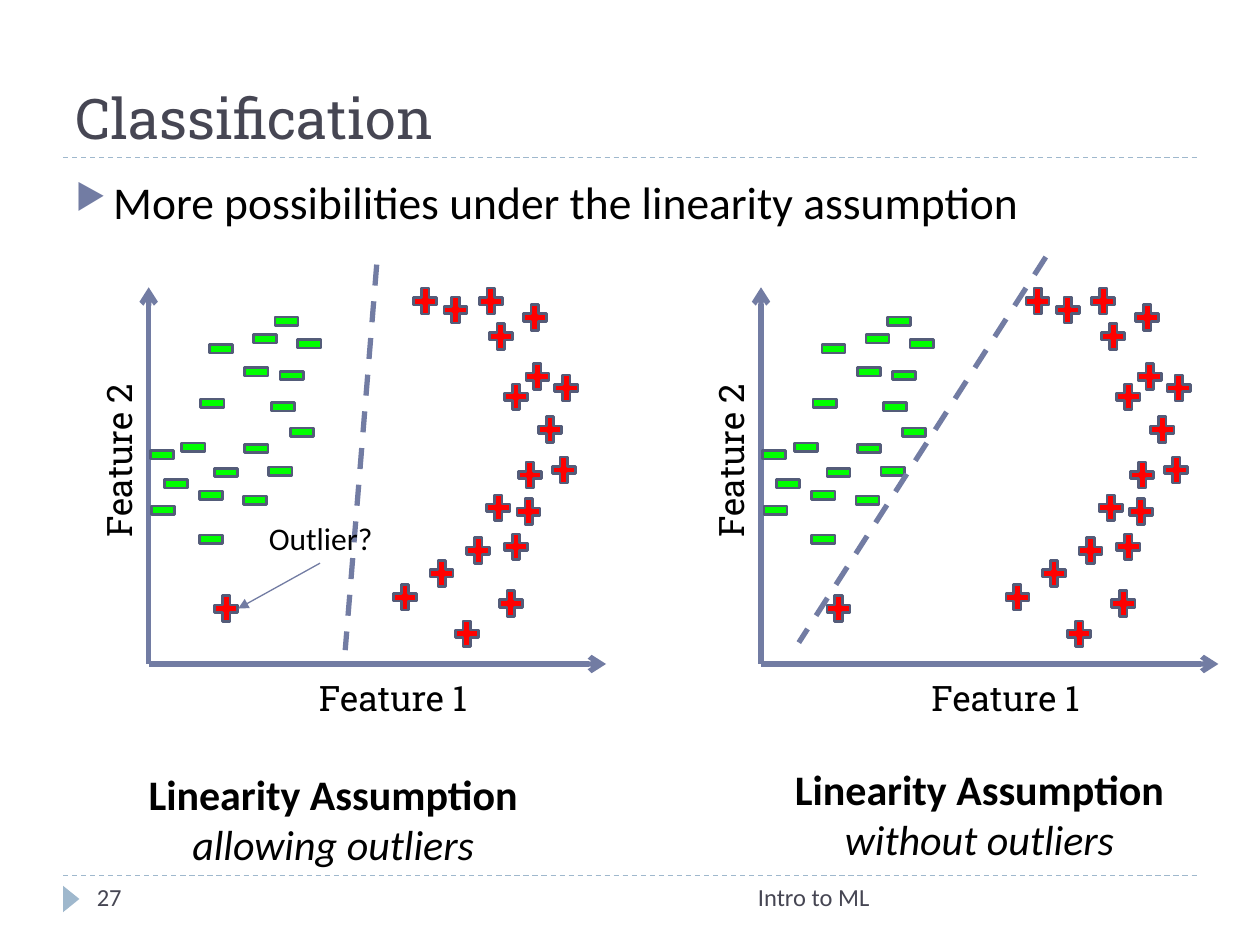
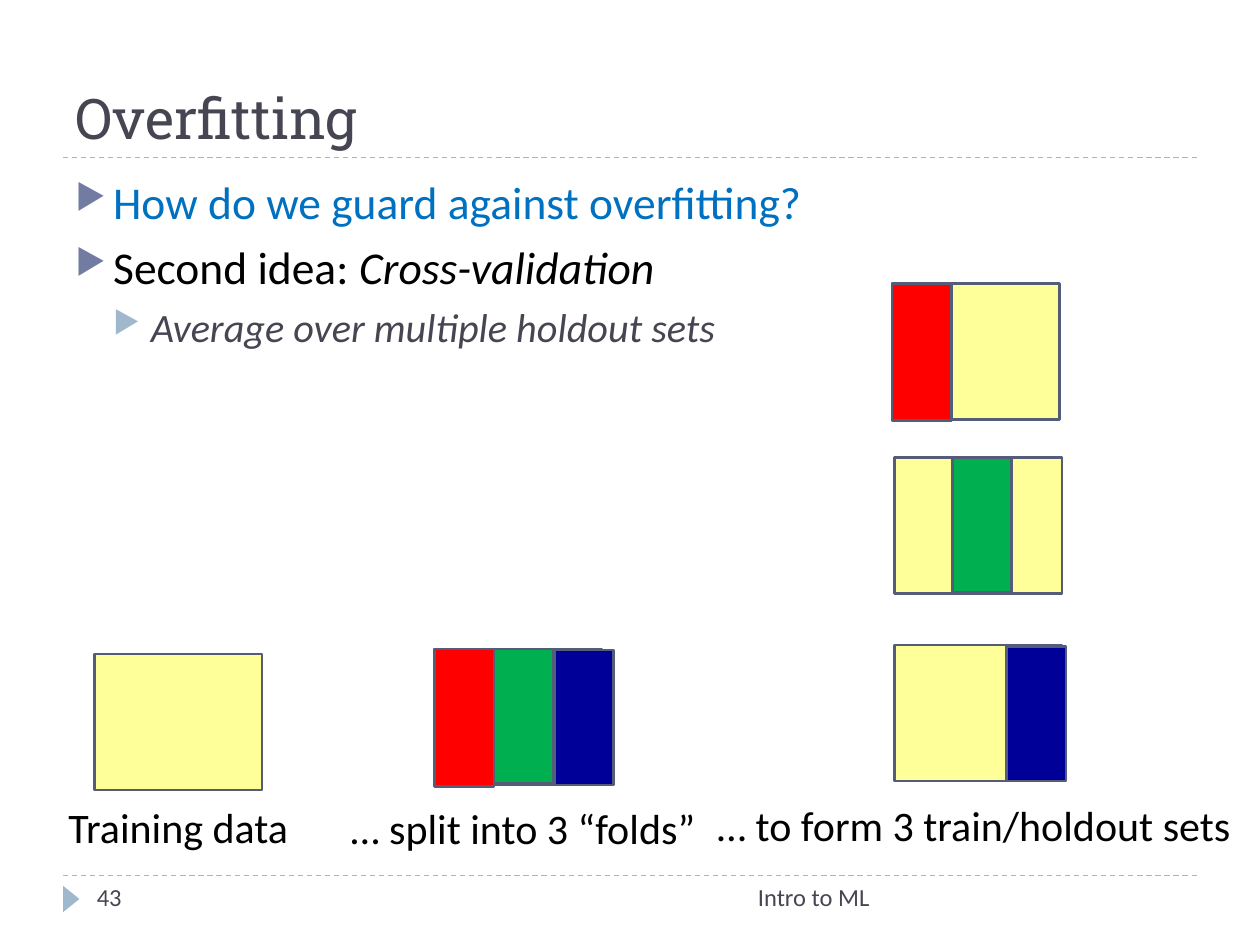
import pptx
import pptx.util
import pptx.dml.color
import pptx.enum.dml
import pptx.enum.shapes
import pptx.enum.text
import pptx.oxml
import pptx.oxml.ns
import lxml.etree

EMU_PER_PX = 9144
SHAPE = pptx.enum.shapes.MSO_SHAPE
FIT = pptx.enum.text.MSO_AUTO_SIZE
ALIGN = pptx.enum.text.PP_ALIGN
ANCHOR = pptx.enum.text.MSO_ANCHOR

INK, BLACK, ASK = "464653", "000000", "0070C0"
ACCENT, PALE, OUTLINE = "727CA3", "9FB8CD", "545C79"
RED, GREEN, NAVY, LIME, YELLOW = "FF0000", "00B050", "000099", "00FF00", "FFFF00"
YELLOW_OPACITY = 40

TITLE = dict(name="Roboto Slab", size=32, color=INK)
AXIS = dict(name="Roboto Slab", size=20, color=BLACK)
FOOTER = dict(name="Calibri", size=14, color=INK)
BODY = dict(name="Calibri", size=26, color=BLACK)
SUBPOINT = dict(name="Calibri", size=23, color=INK, italic=True)
CAPTION = dict(name="Calibri", size=24, color=BLACK)
NOTE = dict(name="Calibri", size=18, color=BLACK)

LEVELS = [
    dict(margin=30, before=6, color=ACCENT),
    dict(margin=60, before=5, color=PALE),
]
BULLET_INDENT = 30
FOOTER_TEXT = "Intro to ML"
RULES = [695, 125]

CLASSIFICATION = dict(
    title="Classification", number="27",
    points=[(0, [("More possibilities under the linearity assumption", BODY)])],
)
PANELS = [
    dict(shift=0, divider=(299, 210, 274, 516),
         caption=(83, 605, 363, 91), detail="allowing outliers"),
    dict(shift=486, divider=(830, 204, 634, 510),
         caption=(596, 601, 363, 91), detail="without outliers"),
]
ORIGIN, AXIS_ENDS = (118, 527), [(481, 527), (118, 228)]
AXIS_LABELS = [("Feature 1", (143, 532, 338, 37), 0), ("Feature 2", (-103, 350, 383, 32), 270)]
MARK_SIZE = (25, 28)
MARKS = [
    (SHAPE.MATH_PLUS, RED, [
        (437, 294), (412, 238), (358, 489), (397, 420), (167, 469), (435, 359), (393, 465),
        (383, 389), (408, 363), (397, 301), (309, 460), (338, 441), (367, 423), (407, 392),
        (424, 327), (414, 285), (325, 225), (377, 225), (385, 253), (349, 232)]),
    (SHAPE.MATH_MINUS, LIME, [
        (191, 342), (212, 309), (210, 360), (227, 329), (198, 255), (155, 414), (156, 306),
        (141, 341), (191, 281), (215, 241), (163, 263), (233, 259), (219, 284), (190, 383),
        (116, 347), (155, 379), (167, 361), (117, 391), (127, 370)]),
]
OUTLIER_LABEL, OUTLIER_ARROW = (195, 407, 119, 40), (254, 447, 189, 483)

OVERFITTING = dict(
    title="Overfitting", number="43",
    points=[
        (0, [("How do we guard against overfitting?", dict(BODY, color=ASK))]),
        (0, [("Second idea: ", BODY), ("Cross-validation", dict(BODY, italic=True))]),
        (1, [("Average over multiple holdout sets", SUBPOINT)]),
    ],
)
DATA_SIZE, FOLD_WIDTH = (133, 108), 47
FOLDS = {RED: (0, 109), GREEN: (0, 107), NAVY: (1, 107)}
DATA_BLOCKS = [
    (75, 519, YELLOW, []),
    (345, 515, None, [(RED, 0), (GREEN, 47), (NAVY, 95)]),
    (708, 225, YELLOW, [(RED, 0)]),
    (710, 363, YELLOW, [(GREEN, 46)]),
    (710, 512, YELLOW, [(NAVY, 89)]),
]
BLOCK_CAPTIONS = [
    ("Training data", (33, 631, 217, 50)),
    ("… split into 3 “folds”", (259, 632, 312, 50)),
    ("… to form 3 train/holdout sets", (546, 630, 454, 50)),
]


def px(*values):
    return [value * EMU_PER_PX for value in values]


def rgb(value):
    return pptx.dml.color.RGBColor.from_string(value)


def set_all(target, values):
    for key, value in values.items():
        setattr(target, key, value)


def child(parent, tag, **attributes):
    element = lxml.etree.SubElement(parent, pptx.oxml.ns.qn(tag))
    for key, value in attributes.items():
        element.set(key, str(value))
    return element


def write(para, pieces):
    for text, style in pieces:
        span = para.add_run()
        span.text = text.rstrip("\n")
        font = dict(style)
        span.font.color.rgb = rgb(font.pop("color"))
        font["size"] = pptx.util.Pt(font["size"])
        set_all(span.font, font)
        if text.endswith("\n"):
            para.add_line_break()


def add_text(page, at, pieces, align=ALIGN.CENTER, fit=FIT.SHAPE_TO_FIT_TEXT, turn=0):
    box = page.shapes.add_textbox(*px(*at))
    box.rotation = turn
    set_all(box.text_frame, dict(word_wrap=True, auto_size=fit))
    para = box.text_frame.paragraphs[0]
    para.alignment = align
    write(para, pieces)
    return box


def add_line(page, ends, color, width, dash=False, head=None):
    line = page.shapes.add_connector(pptx.enum.shapes.MSO_CONNECTOR.STRAIGHT, *px(*ends))
    line.line.color.rgb = rgb(color)
    line.line.width = pptx.util.Pt(width)
    if dash:
        line.line.dash_style = pptx.enum.dml.MSO_LINE.DASH
    if head:
        child(line.line._get_or_add_ln(), "a:tailEnd", type=head)
    child(line._element.spPr, "a:effectLst")


def add_shape(page, kind, at, fill, outline=OUTLINE, opacity=None):
    shape = page.shapes.add_shape(kind, *px(*at))
    shape.shadow.inherit = False
    if fill:
        shape.fill.solid()
        shape.fill.fore_color.rgb = rgb(fill)
    else:
        shape.fill.background()
    if opacity:
        color = shape._element.spPr.find(".//" + pptx.oxml.ns.qn("a:srgbClr"))
        child(color, "a:alpha", val=opacity * 1000)
    if outline:
        shape.line.color.rgb = rgb(outline)
        shape.line.width = pptx.util.Pt(1.5)
    else:
        shape.line.fill.background()
    return shape


def add_points(page, points):
    box = add_text(page, (50, 133, 900, 540), [], ALIGN.LEFT, FIT.NONE)
    for index, (level, pieces) in enumerate(points):
        para = box.text_frame.add_paragraph() if index else box.text_frame.paragraphs[0]
        look = LEVELS[level]
        set_all(para, dict(level=level, space_before=pptx.util.Pt(look["before"])))
        properties = para._p.get_or_add_pPr()
        properties.set("marL", str(px(look["margin"])[0]))
        properties.set("indent", str(px(-BULLET_INDENT)[0]))
        child(child(properties, "a:buClr"), "a:srgbClr", val=look["color"])
        child(properties, "a:buSzPct", val=76000)
        child(properties, "a:buChar", char="▶")
        write(para, pieces)


def add_page(deck, content):
    page = deck.slides.add_slide(deck.slide_layouts[5])
    for y in RULES:
        add_line(page, (50, y, 950, y), PALE, 0.75, dash=True)
    add_shape(page, SHAPE.ISOSCELES_TRIANGLE, (46, 707, 21, 13), PALE, None).rotation = 90
    title = page.shapes.title
    set_all(title, dict(zip(("left", "top", "width", "height"), px(50, 17, 900, 108))))
    set_all(title.text_frame, dict(vertical_anchor=ANCHOR.BOTTOM, auto_size=FIT.NONE, word_wrap=True))
    para = title.text_frame.paragraphs[0]
    para.alignment = ALIGN.LEFT
    write(para, [(content["title"], TITLE)])
    add_text(page, (317, 695, 383, 40), [(FOOTER_TEXT, FOOTER)], ALIGN.RIGHT, FIT.NONE)
    add_text(page, (67, 695, 217, 40), [(content["number"], FOOTER)], ALIGN.LEFT, FIT.NONE)
    add_points(page, content["points"])
    return page


def add_panel(page, panel):
    shift = panel["shift"]
    x, y = ORIGIN
    for end_x, end_y in AXIS_ENDS:
        add_line(page, (x + shift, y, end_x + shift, end_y), ACCENT, 3, head="arrow")
    for text, (left, *rest), turn in AXIS_LABELS:
        add_text(page, (left + shift, *rest), [(text, AXIS)], turn=turn)
    for kind, fill, spots in MARKS:
        for left, top in spots:
            add_shape(page, kind, (left + shift, top, *MARK_SIZE), fill)
    add_line(page, panel["divider"], ACCENT, 3, dash=True)
    add_text(page, panel["caption"], [
        ("Linearity Assumption\n", dict(CAPTION, bold=True)),
        (panel["detail"], dict(CAPTION, italic=True))])


def add_data_block(page, left, top, fill, folds):
    opacity = YELLOW_OPACITY if fill else None
    add_shape(page, SHAPE.RECTANGLE, (left, top, *DATA_SIZE), fill, opacity=opacity)
    for color, offset in folds:
        drop, height = FOLDS[color]
        add_shape(page, SHAPE.RECTANGLE, (left + offset, top + drop, FOLD_WIDTH, height), color)


def main():
    deck = pptx.Presentation()
    deck.slide_width, deck.slide_height = px(1000, 750)

    page = add_page(deck, CLASSIFICATION)
    for panel in PANELS:
        add_panel(page, panel)
    add_text(page, OUTLIER_LABEL, [("Outlier?", NOTE)])
    add_line(page, OUTLIER_ARROW, ACCENT, 0.75, head="triangle")

    page = add_page(deck, OVERFITTING)
    for block in DATA_BLOCKS:
        add_data_block(page, *block)
    for text, at in BLOCK_CAPTIONS:
        add_text(page, at, [(text, CAPTION)])

    deck.save("out.pptx")


if __name__ == "__main__":
    main()
